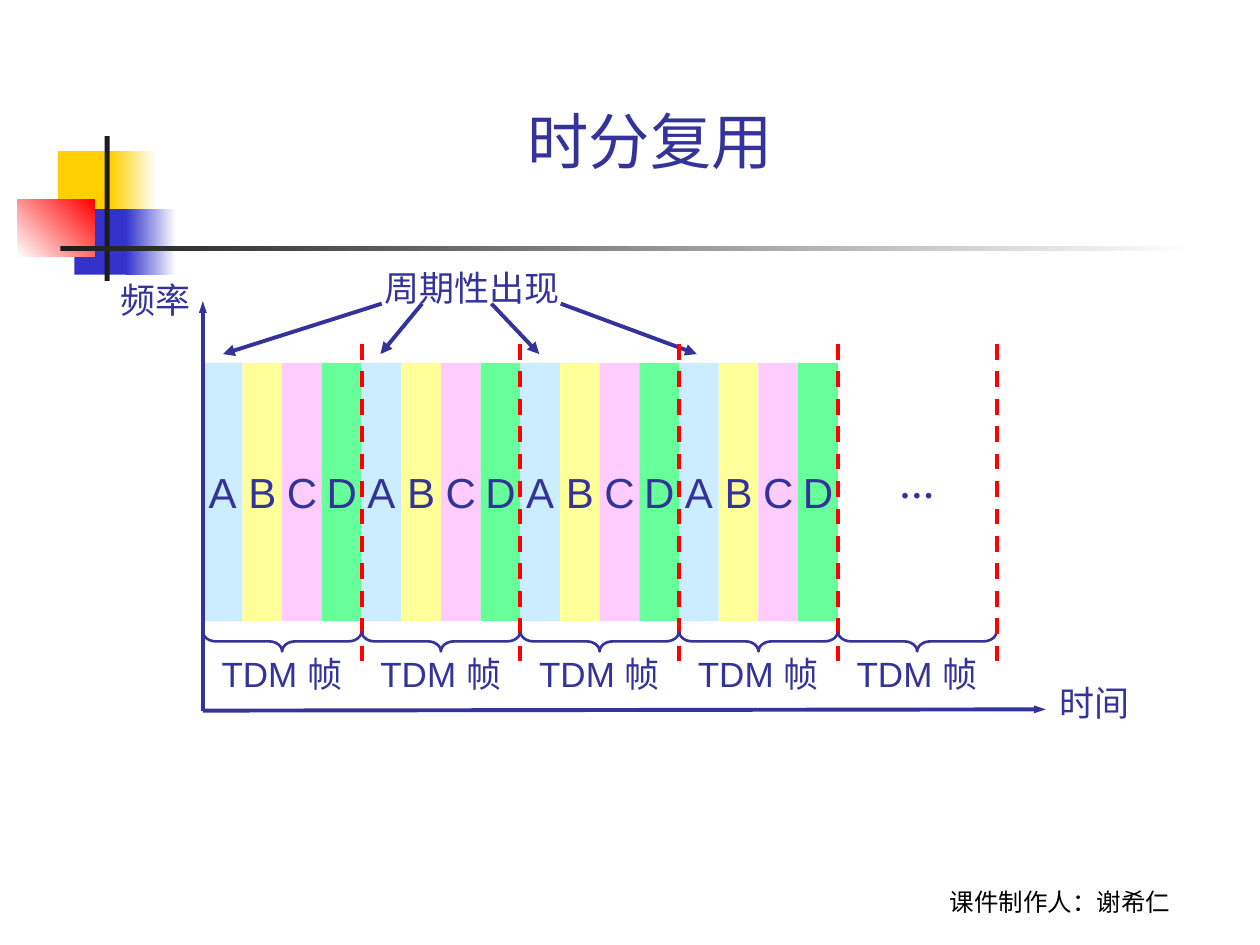
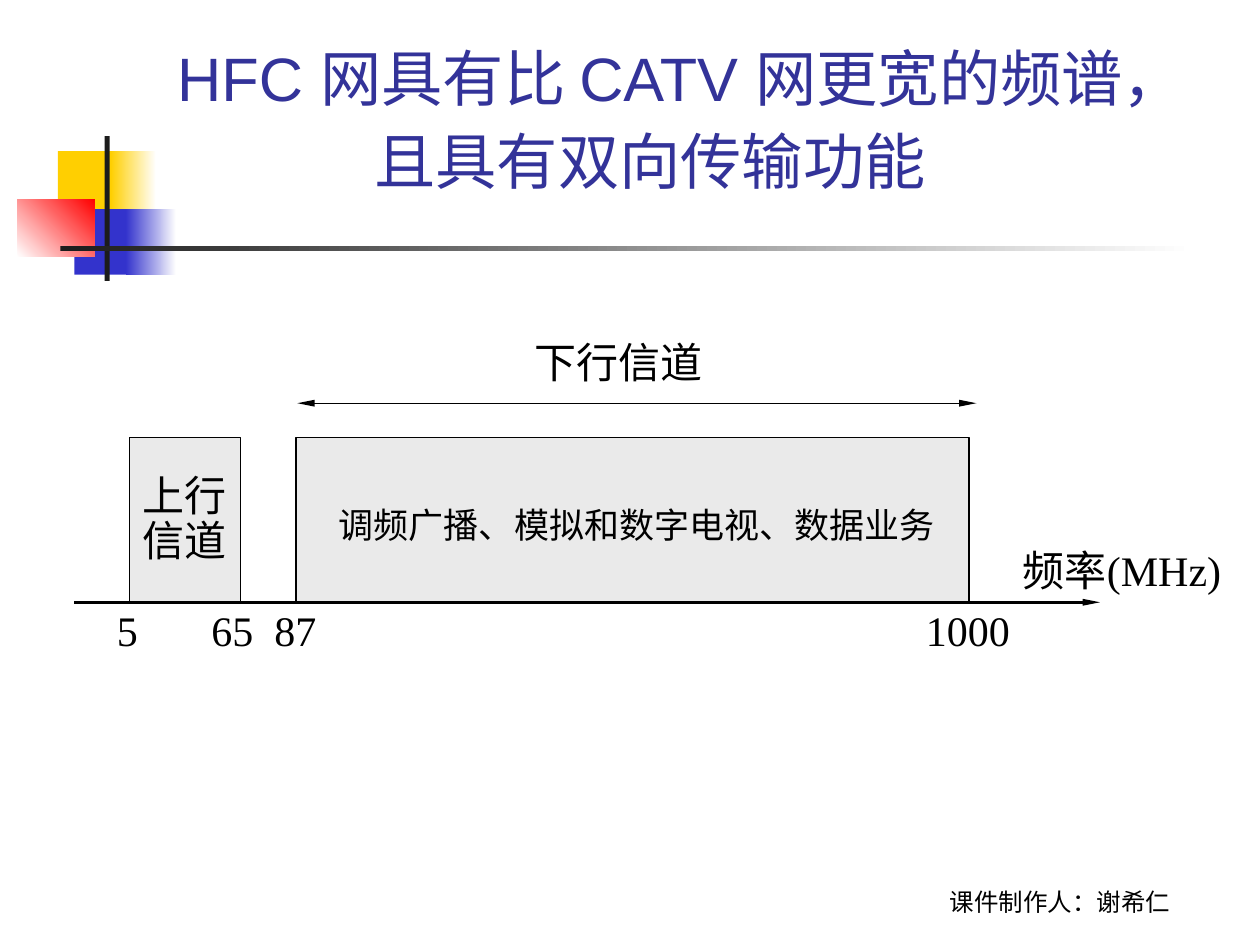
from dataclasses import dataclass
from typing import Optional

import pptx
import pptx.dml.color
import pptx.enum.dml
import pptx.enum.shapes
import pptx.enum.text
import pptx.oxml.ns
import pptx.presentation
import pptx.shapes.autoshape
import pptx.slide
import pptx.util
from lxml import etree

Inches = pptx.util.Inches
RGBColor = pptx.dml.color.RGBColor
Align = pptx.enum.text.PP_ALIGN
Anchor = pptx.enum.text.MSO_ANCHOR
Preset = pptx.enum.shapes.MSO_SHAPE

WHITE = RGBColor(0xFF, 0xFF, 0xFF)
BLACK = RGBColor(0x00, 0x00, 0x00)
CHARCOAL = RGBColor(0x1C, 0x1C, 0x1C)
YELLOW = RGBColor(0xFF, 0xCF, 0x01)
BLUE = RGBColor(0x33, 0x33, 0xCC)
RED = RGBColor(0xFF, 0x00, 0x00)
INDIGO = RGBColor(0x33, 0x33, 0x99)
GRAY = RGBColor(0xEA, 0xEA, 0xEA)

SERIF = "Times New Roman"
SANS = "Arial"


@dataclass(frozen=True)
class Block:
    left: float
    top: float
    width: float
    height: float
    color: RGBColor
    end_color: Optional[RGBColor] = None
    angle: float = 0
    outlined: bool = False


@dataclass(frozen=True)
class Label:
    text: str
    left: float
    top: float
    width: float
    height: float
    size: float
    color: RGBColor = BLACK
    font: str = SERIF
    bold: bool = False
    spacing: float = 1.0
    align: Align = Align.LEFT
    anchor: Anchor = Anchor.TOP
    wrap: bool = True
    side_inset: float = 0.1
    end_inset: float = 0.05
    tabs: tuple[float, ...] = ()


@dataclass(frozen=True)
class Stroke:
    x1: float
    y1: float
    x2: float
    y2: float
    color: RGBColor
    weight: float
    ends: tuple[str, ...] = ()
    dashed: bool = False
    head_width: str = "med"
    head_length: str = "med"


@dataclass(frozen=True)
class Channel:
    letter: str
    color: RGBColor


ORNAMENT = (
    Block(0.46, 1.2, 0.48, 0.52, YELLOW),
    Block(0.88, 1.2, 0.36, 0.52, YELLOW, WHITE),
    Block(0.59, 1.66, 0.46, 0.52, BLUE),
    Block(1, 1.66, 0.4, 0.52, BLUE, WHITE),
    Block(0.14, 1.58, 0.61, 0.46, WHITE, RED, 45),
    Block(0.83, 1.08, 0.04, 1.15, CHARCOAL),
    Block(0.48, 1.95, 9, 0.04, CHARCOAL, WHITE),
)
FOOTER = Label("课件制作人：谢希仁", 6.83, 6.82, 3.17, 0.5, 14, font="Roboto",
               align=Align.CENTER, anchor=Anchor.BOTTOM)

CHANNELS = (
    Channel("A", RGBColor(0xCC, 0xEC, 0xFF)),
    Channel("B", RGBColor(0xFF, 0xFF, 0x99)),
    Channel("C", RGBColor(0xFF, 0xCC, 0xFF)),
    Channel("D", RGBColor(0x66, 0xFF, 0x99)),
)
AXIS_X = 1.61
AXIS_Y = 5.64
FRAME_WIDTH = 1.26
FRAME_COUNT = 5
SLOT_TOP = 2.88
SLOT_HEIGHT = 2.05
BRACE_DEPTH = 0.16
BRACE_MIDDLE = 5.09


def write(shape: pptx.shapes.autoshape.Shape, label: Label) -> None:
    frame = shape.text_frame
    frame.word_wrap = label.wrap
    frame.vertical_anchor = label.anchor
    frame.margin_left = frame.margin_right = Inches(label.side_inset)
    frame.margin_top = frame.margin_bottom = Inches(label.end_inset)
    frame.text = label.text
    for paragraph in frame.paragraphs:
        paragraph.alignment = label.align
        paragraph.line_spacing = label.spacing
        if label.tabs:
            properties = paragraph._p.get_or_add_pPr()
            stops = etree.SubElement(properties, pptx.oxml.ns.qn("a:tabLst"))
            for stop in label.tabs:
                etree.SubElement(stops, pptx.oxml.ns.qn("a:tab"),
                                 pos=str(Inches(stop)), algn="l")
        for run in paragraph.runs:
            run.font.name = label.font
            run.font.size = pptx.util.Pt(label.size)
            run.font.bold = label.bold
            run.font.color.rgb = label.color


def add_label(slide: pptx.slide.Slide, label: Label) -> None:
    box = slide.shapes.add_textbox(Inches(label.left), Inches(label.top),
                                   Inches(label.width), Inches(label.height))
    write(box, label)


def add_block(slide: pptx.slide.Slide, block: Block) -> pptx.shapes.autoshape.Shape:
    shape = slide.shapes.add_shape(
        Preset.RECTANGLE, Inches(block.left), Inches(block.top),
        Inches(block.width), Inches(block.height))
    shape.shadow.inherit = False
    if block.end_color is None:
        shape.fill.solid()
        shape.fill.fore_color.rgb = block.color
    else:
        shape.fill.gradient()
        shape.fill.gradient_angle = block.angle
        for stop, color in zip(shape.fill.gradient_stops, (block.color, block.end_color)):
            stop.color.rgb = color
    if block.outlined:
        shape.line.color.rgb = BLACK
        shape.line.width = pptx.util.Pt(0.75)
    else:
        shape.line.fill.background()
    return shape


def add_stroke(slide: pptx.slide.Slide, stroke: Stroke) -> None:
    connector = slide.shapes.add_connector(
        pptx.enum.shapes.MSO_CONNECTOR.STRAIGHT,
        Inches(stroke.x1), Inches(stroke.y1), Inches(stroke.x2), Inches(stroke.y2))
    connector.line.color.rgb = stroke.color
    connector.line.width = pptx.util.Pt(stroke.weight)
    if stroke.dashed:
        connector.line.dash_style = pptx.enum.dml.MSO_LINE.DASH
    properties = connector.element.spPr
    outline = properties.find(pptx.oxml.ns.qn("a:ln"))
    for end in stroke.ends:
        etree.SubElement(outline, pptx.oxml.ns.qn(f"a:{end}"), type="triangle",
                         w=stroke.head_width, len=stroke.head_length)
    etree.SubElement(properties, pptx.oxml.ns.qn("a:effectLst"))


def add_brace(slide: pptx.slide.Slide, center: float) -> None:
    brace = slide.shapes.add_shape(
        Preset.LEFT_BRACE, Inches(center - BRACE_DEPTH / 2),
        Inches(BRACE_MIDDLE - FRAME_WIDTH / 2), Inches(BRACE_DEPTH), Inches(FRAME_WIDTH))
    brace.rotation = 270
    brace.adjustments[0] = 0.65
    brace.shadow.inherit = False
    brace.fill.background()
    brace.line.color.rgb = INDIGO
    brace.line.width = pptx.util.Pt(1.5)


def start_slide(deck: pptx.presentation.Presentation, title: str,
                bottom: float) -> pptx.slide.Slide:
    slide = deck.slides.add_slide(deck.slide_layouts[6])
    for block in ORNAMENT:
        add_block(slide, block)
    add_label(slide, FOOTER)
    height = 1.4
    add_label(slide, Label(title, 0.9, bottom - height, 8.52, height, 35, INDIGO, SANS,
                           spacing=1.12, align=Align.CENTER, anchor=Anchor.BOTTOM,
                           side_inset=0.5, end_inset=0))
    return slide


def build_time_division(deck: pptx.presentation.Presentation) -> None:
    slide = start_slide(deck, "时分复用", 1.4)
    add_stroke(slide, Stroke(AXIS_X, AXIS_Y, 8.3, 5.63, INDIGO, 2.25, ("tailEnd",),
                             head_width="sm"))
    for text, left, top, width in (("频率", 0.86, 2.2, 0.85), ("时间", 8.31, 5.4, 0.85),
                                   ("周期性出现", 2.95, 2.1, 1.7)):
        add_label(slide, Label(text, left, top, width, 0.4, 20, INDIGO, spacing=0.9))

    slot_width = FRAME_WIDTH / len(CHANNELS)
    for index in range((FRAME_COUNT - 1) * len(CHANNELS)):
        channel = CHANNELS[index % len(CHANNELS)]
        place = (AXIS_X + index * slot_width, SLOT_TOP, slot_width, SLOT_HEIGHT)
        slot = add_block(slide, Block(*place, channel.color))
        write(slot, Label(channel.letter, *place, 24, INDIGO, SANS,
                          align=Align.CENTER, anchor=Anchor.MIDDLE, wrap=False))

    for start, end in ((3.03, 1.77), (3.35, 3.02), (3.9, 4.28), (4.45, 5.53)):
        add_stroke(slide, Stroke(start, 2.41, end, 2.81, INDIGO, 2.25, ("tailEnd",)))
    add_stroke(slide, Stroke(AXIS_X, AXIS_Y, AXIS_X, 2.39, INDIGO, 2.25, ("tailEnd",),
                             head_width="sm"))
    add_label(slide, Label("…", 7.04, 3.63, 0.5, 0.43, 20, INDIGO, bold=True))

    for index in range(FRAME_COUNT):
        left = AXIS_X + index * FRAME_WIDTH
        right = left + FRAME_WIDTH
        add_label(slide, Label("TDM 帧", left + 0.05, 5.17, 1.35, 0.4, 20, INDIGO, SANS,
                               spacing=0.9))
        add_brace(slide, left + FRAME_WIDTH / 2)
        add_stroke(slide, Stroke(right, 2.73, right, 5.32, RED, 2.25, dashed=True))


def build_spectrum(deck: pptx.presentation.Presentation) -> None:
    slide = start_slide(deck, "HFC 网具有比 CATV 网更宽的频谱，且具有双向传输功能", 1.56)
    add_stroke(slide, Stroke(2.36, 3.2, 7.75, 3.2, BLACK, 0.75, ("headEnd", "tailEnd"),
                             head_width="sm", head_length="lg"))
    downlink_place = (4.14, 2.62, 1.55, 0.5)
    downlink = add_block(slide, Block(*downlink_place, WHITE))
    write(downlink, Label("下行信道", *downlink_place, 24))
    for left, width in ((1.03, 0.88), (2.35, 5.34)):
        add_block(slide, Block(left, 3.47, width, 1.31, GRAY, outlined=True))
    for label in (
        Label("上行\n信道", 1.03, 3.72, 0.95, 0.82, 24, spacing=0.9),
        Label("5\t65\t87\t1000", 0.83, 4.75, 7.6, 0.5, 24, tabs=(0.75, 1.25, 6.42)),
        Label("调频广播、模拟和数字电视、数据业务", 2.59, 3.95, 5.05, 0.44, 20),
        Label("频率(MHz)", 8.02, 4.27, 1.95, 0.5, 24),
    ):
        add_label(slide, label)
    add_stroke(slide, Stroke(0.59, 4.78, 8.73, 4.78, BLACK, 1.5, ("tailEnd",),
                             head_width="sm", head_length="lg"))


def main() -> None:
    deck = pptx.Presentation()
    deck.slide_width = Inches(10)
    deck.slide_height = Inches(7.5)
    build_time_division(deck)
    build_spectrum(deck)
    deck.save("out.pptx")


if __name__ == "__main__":
    main()
